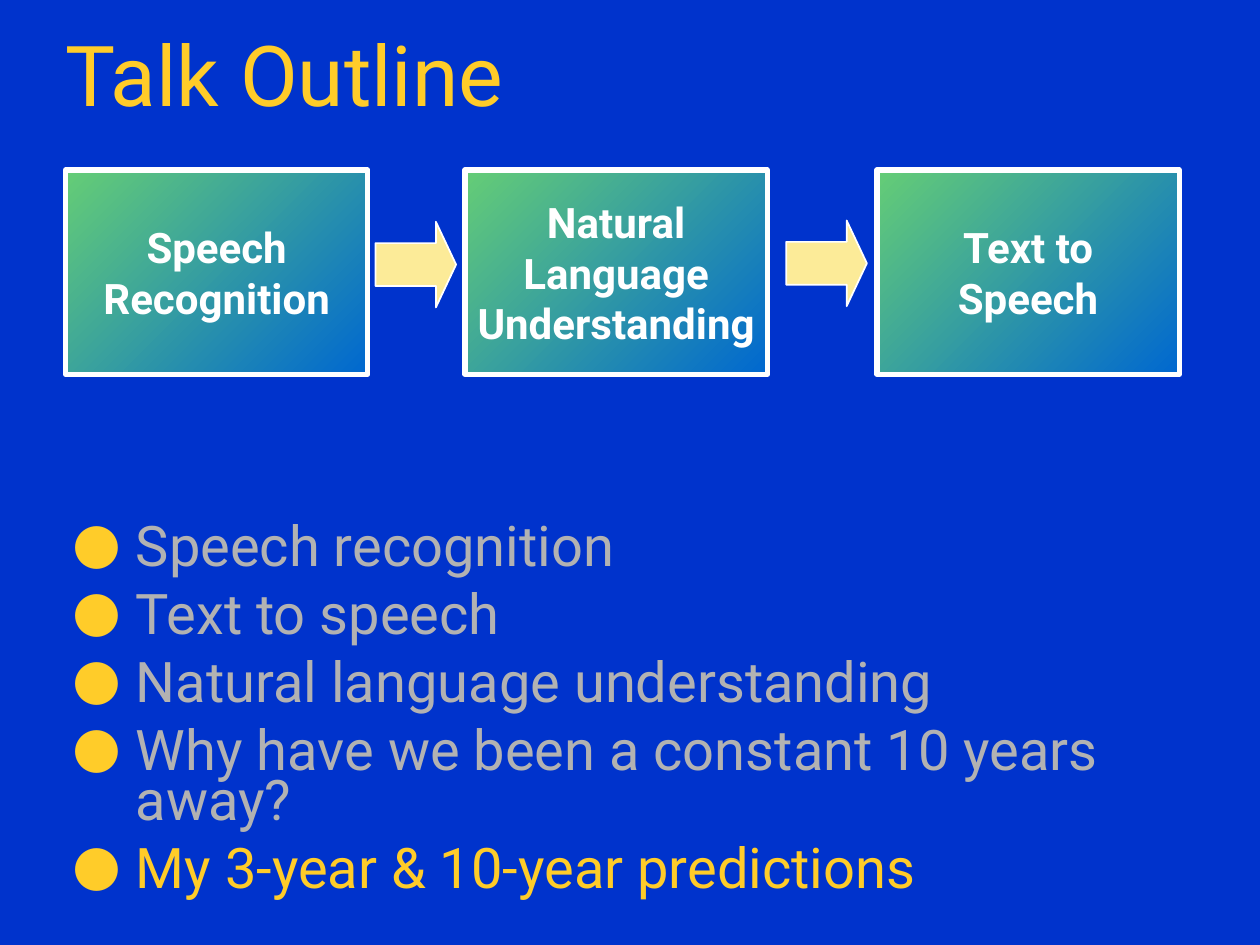
"""Build the talk outline slide with its speech pipeline."""
from lxml.etree import SubElement
from pptx import Presentation
from pptx.dml.color import RGBColor
from pptx.enum.shapes import MSO_SHAPE
from pptx.enum.text import MSO_ANCHOR, PP_ALIGN
from pptx.oxml.ns import qn
from pptx.util import Inches, Pt

BLUE = RGBColor(0x00, 0x33, 0xCC)
GOLD = RGBColor(0xFF, 0xCC, 0x29)
GRAY = RGBColor(0xB2, 0xB2, 0xB2)
WHITE = RGBColor(0xFF, 0xFF, 0xFF)
CREAM = RGBColor(0xFC, 0xEB, 0x98)
SKY = RGBColor(0x00, 0x68, 0xD0)
GREEN = RGBColor(0x65, 0xCD, 0x76)

TITLE = "Talk Outline"
STAGES = [
    (0.52, ["Speech", "Recognition"]),
    (3.69, ["Natural", "Language", "Understanding"]),
    (6.96, ["Text to Speech"]),
]
ARROWS = [(2.98, 1.76), (6.24, 1.75)]
TOPICS = [
    ("Speech recognition", GRAY),
    ("Text to speech", GRAY),
    ("Natural language understanding", GRAY),
    ("Why have we been a constant 10 years away?", GRAY),
    ("My 3-year & 10-year predictions", GOLD),
]


def add_bullet(para):
    props = para._p.get_or_add_pPr()
    props.set("marL", str(Inches(0.5)))
    props.set("indent", str(-Inches(0.5)))
    tint = SubElement(props, qn("a:buClr"))
    SubElement(tint, qn("a:srgbClr"), val=str(GOLD))
    SubElement(props, qn("a:buFont"), typeface="Roboto")
    SubElement(props, qn("a:buChar"), char="●")


def write(frame, text, size, color, bold=False, align=PP_ALIGN.LEFT,
          line=1.0, before=0, bullet=False):
    first = not frame.text
    para = frame.paragraphs[0] if first else frame.add_paragraph()
    if bullet:
        add_bullet(para)
    para.alignment = align
    para.line_spacing = line
    para.space_before = Pt(0 if first else before)
    run = para.add_run()
    run.text = text
    run.font.name = "Roboto"
    run.font.size = Pt(size)
    run.font.bold = bold
    run.font.color.rgb = color


def add_box(slide, *place):
    frame = slide.shapes.add_textbox(*map(Inches, place)).text_frame
    frame.word_wrap = True
    return frame


def add_form(slide, kind, place, width):
    shape = slide.shapes.add_shape(kind, *map(Inches, place))
    shape.shadow.inherit = False
    shape.line.color.rgb = WHITE
    shape.line.width = Pt(width)
    return shape


def add_stage(slide, left, lines):
    shape = add_form(slide, MSO_SHAPE.RECTANGLE, (left, 1.35, 2.4, 1.62), 3)
    shape.fill.gradient()
    shape.fill.gradient_angle = 135
    for stop, color in zip(shape.fill.gradient_stops, (SKY, GREEN)):
        stop.color.rgb = color
    frame = shape.text_frame
    frame.word_wrap = True
    frame.vertical_anchor = MSO_ANCHOR.MIDDLE
    for text in lines:
        write(frame, text, 24, WHITE, bold=True, align=PP_ALIGN.CENTER)


def add_arrow(slide, left, top):
    place = (left, top, 0.64, 0.68)
    shape = add_form(slide, MSO_SHAPE.RIGHT_ARROW, place, 1)
    shape.adjustments[0] = 0.5
    shape.adjustments[1] = 0.25
    shape.fill.solid()
    shape.fill.fore_color.rgb = CREAM


def main():
    deck = Presentation()
    deck.slide_width, deck.slide_height = Inches(10), Inches(7.5)
    slide = deck.slides.add_slide(deck.slide_layouts[6])
    slide.background.fill.solid()
    slide.background.fill.fore_color.rgb = BLUE

    write(add_box(slide, 0.42, 0.25, 9.18, 0.78), TITLE, 48, GOLD, line=0.85)
    body = add_box(slide, 0.48, 4.13, 9.52, 3.37)
    for text, color in TOPICS:
        write(body, text, 32, color, line=0.75, before=10, bullet=True)
    for left, lines in STAGES:
        add_stage(slide, left, lines)
    for left, top in ARROWS:
        add_arrow(slide, left, top)
    deck.save("out.pptx")


if __name__ == "__main__":
    main()
